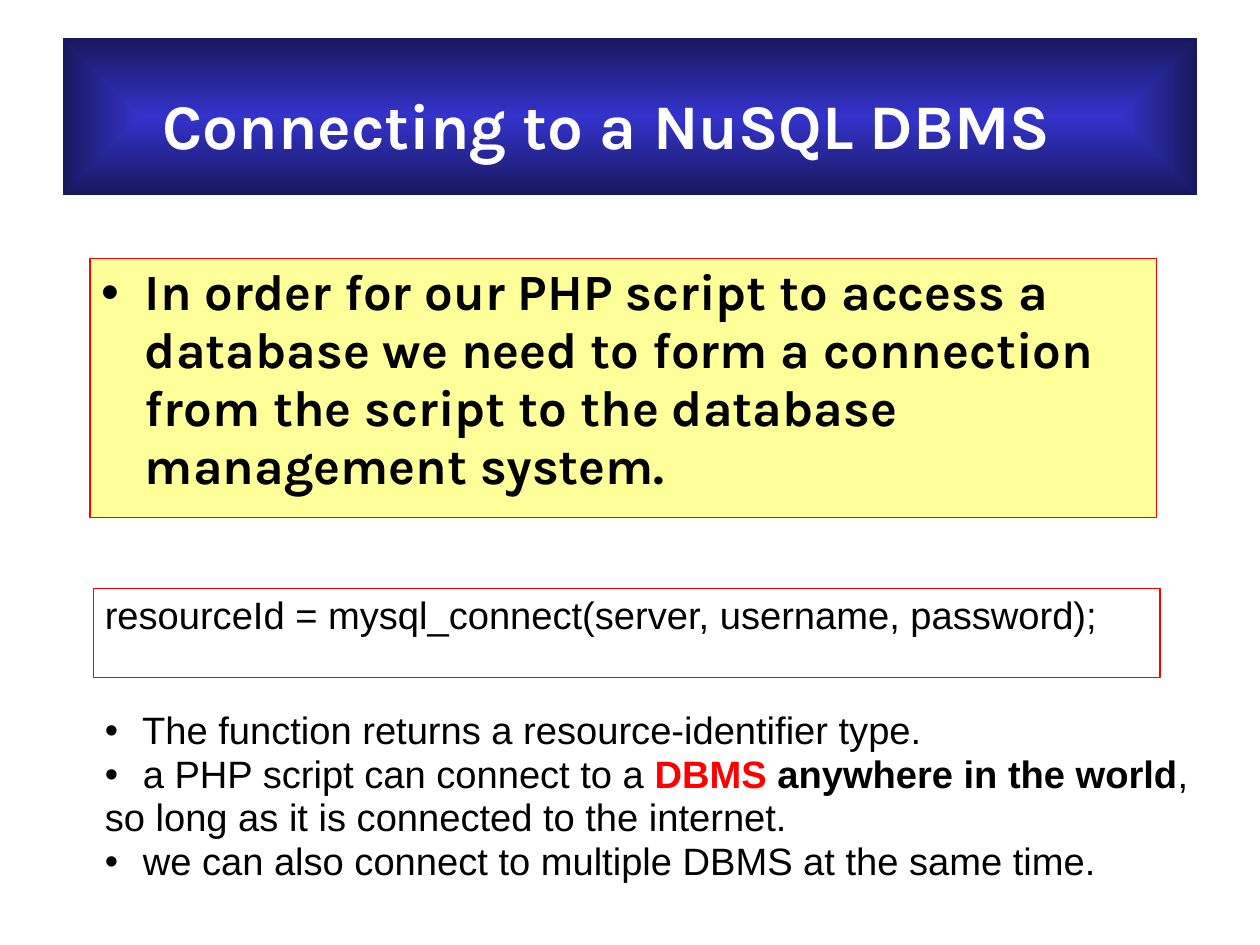
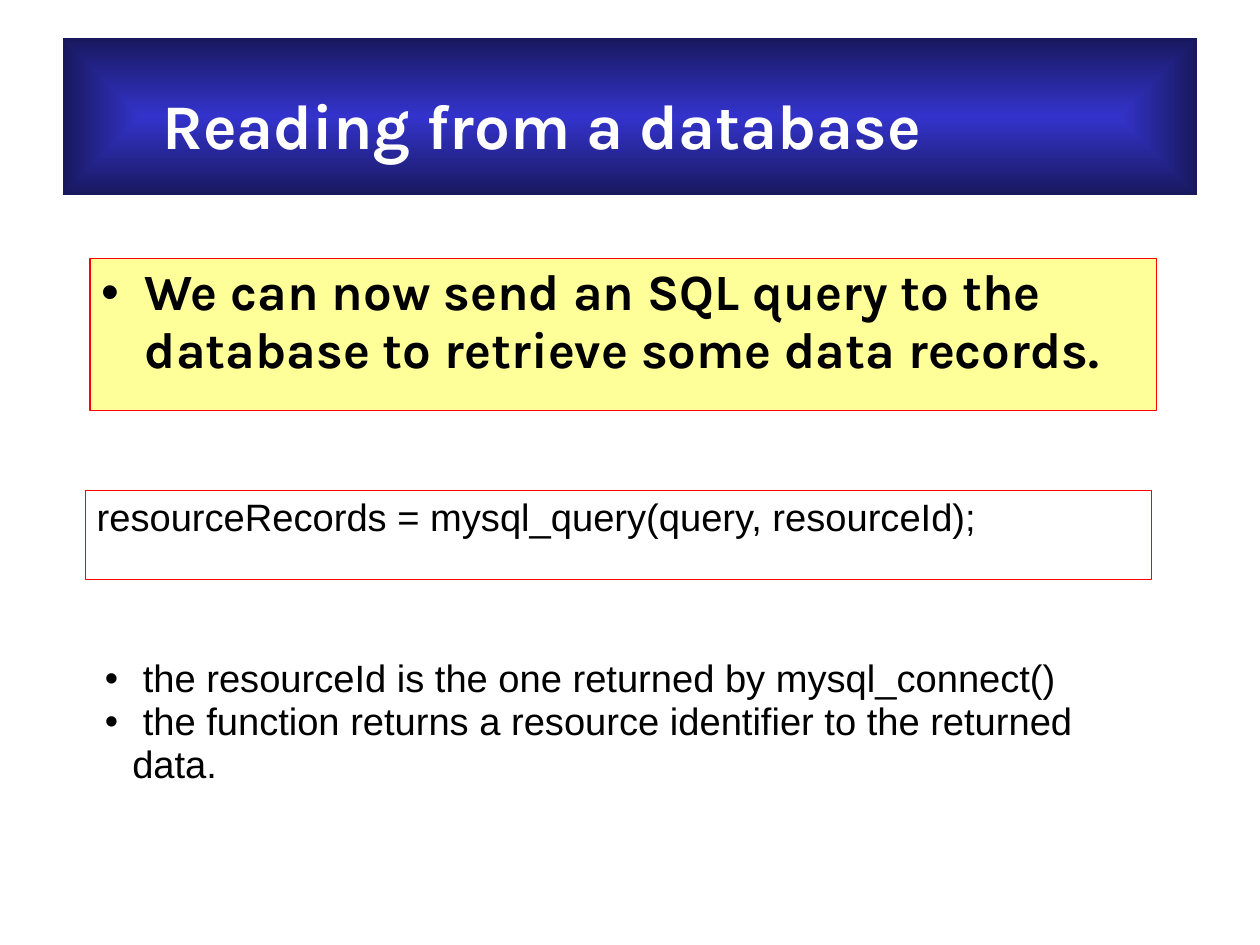
"""Build two slides on connecting to a database and reading from it with PHP."""
from lxml import etree
from pptx import Presentation
from pptx.dml.color import RGBColor
from pptx.enum.shapes import MSO_SHAPE
from pptx.enum.text import MSO_ANCHOR, PP_ALIGN
from pptx.oxml.ns import qn
from pptx.util import Cm, Pt

RECTANGLE = MSO_SHAPE.RECTANGLE
TOP = MSO_ANCHOR.TOP
LEFT = PP_ALIGN.LEFT

COLORS = {
    "band_centre": "3333CC",
    "band_edge": "18185E",
    "title": "FFFFFF",
    "statement": "FFFF99",
    "code": "FFFFFF",
    "border": "FF0000",
    "accent": "FF0000",
    "text": "000000",
}
HEADING_FONT, BODY_FONT = "Karla", "Arial"
BAND = (1.4, 0.84, 25.2, 3.5)
BAND_INSETS = (2.21, 1.19, 0, 0)
BOX_INSETS = (0.25, 0.13, 0.25, 0.13)
STATEMENT_HANG, NOTE_HANG = 0.97, 0.61

SLIDES = [
    {
        "title": "Connecting to a NuSQL DBMS",
        "statement": "In order for our PHP script to access a database we need to form "
                     "a connection from the script to the database management system.",
        "statement_box": (2, 5.74, 23.7, 5.77),
        "code": "resourceId = mysql_connect(server, username, password);",
        "code_box": (2.08, 13.08, 23.7, 1.98),
        "notes": [
            (NOTE_HANG, [(" The function returns a resource-identifier type.", None)]),
            (NOTE_HANG, [(" a PHP script can connect to a ", None), ("DBMS ", "accent"),
                         ("anywhere in the world", "text"), (", ", None)]),
            (0, [("so long as it is connected to the internet.", None)]),
            (NOTE_HANG, [(" we can also connect to multiple DBMS at the same time.", None)]),
        ],
        "notes_box": (2.08, 15.65, 25.2, 5.08),
    },
    {
        "title": "Reading from a database",
        "statement": "We can now send an SQL query to the database to retrieve some data records.",
        "statement_box": (2, 5.74, 23.7, 3.38),
        "code": "resourceRecords = mysql_query(query, resourceId);",
        "code_box": (1.9, 10.9, 23.7, 1.98),
        "notes": [
            (NOTE_HANG, [(" the resourceId is the one returned by mysql_connect()", None)]),
            (NOTE_HANG, [(" the function returns a resource identifier to the returned data.", None)]),
        ],
        "notes_box": (2.08, 14.48, 24.03, 3.15),
    },
]


def rgb(name):
    return RGBColor.from_string(COLORS[name])


def add_panel(slide, box, fill=None):
    panel = slide.shapes.add_shape(RECTANGLE, *map(Cm, box))
    panel.shadow.inherit = False
    if fill:
        panel.fill.solid()
        panel.fill.fore_color.rgb = rgb(fill)
        panel.line.color.rgb = rgb("border")
        panel.line.width = Pt(0.74)
    else:
        panel.line.fill.background()
    return panel


def shade_from_centre(panel):
    panel.fill.gradient()
    for stop, name in zip(panel.fill.gradient_stops, ("band_centre", "band_edge")):
        stop.color.rgb = rgb(name)
    gradient = panel._element.spPr.find(qn("a:gradFill"))
    gradient.remove(gradient.find(qn("a:lin")))
    focus = etree.SubElement(gradient, qn("a:path"), path="rect")
    etree.SubElement(focus, qn("a:fillToRect"), l="50000", t="50000", r="50000", b="50000")


def add_bullet(paragraph, hang):
    properties = paragraph._p.get_or_add_pPr()
    properties.set("marL", str(Cm(hang)))
    properties.set("indent", str(-Cm(hang)))
    color = etree.SubElement(properties, qn("a:buClr"))
    etree.SubElement(color, qn("a:srgbClr"), val=COLORS["text"])
    etree.SubElement(properties, qn("a:buFont"), typeface=BODY_FONT)
    etree.SubElement(properties, qn("a:buChar"), char="•")


def write(shape, lines, font, size, color="text", bold=False, insets=BOX_INSETS):
    frame = shape.text_frame
    frame.word_wrap = True
    frame.vertical_anchor = TOP
    (frame.margin_left, frame.margin_top,
     frame.margin_right, frame.margin_bottom) = map(Cm, insets)
    for index, (hang, parts) in enumerate(lines):
        paragraph = frame.add_paragraph() if index else frame.paragraphs[0]
        paragraph.alignment = LEFT
        paragraph.line_spacing = 0.95
        if hang:
            add_bullet(paragraph, hang)
        paragraph.font.name = font
        paragraph.font.size = Pt(size)
        paragraph.font.bold = bold
        paragraph.font.color.rgb = rgb(color)
        for words, emphasis in parts:
            run = paragraph.add_run()
            run.text = words
            if emphasis:
                run.font.bold = True
                run.font.color.rgb = rgb(emphasis)


def build_slide(deck, content):
    slide = deck.slides.add_slide(deck.slide_layouts[6])
    band = add_panel(slide, BAND)
    shade_from_centre(band)
    write(band, [(0, [(content["title"], None)])], HEADING_FONT, 40, "title", True, BAND_INSETS)

    statement = add_panel(slide, content["statement_box"], "statement")
    write(statement, [(STATEMENT_HANG, [(content["statement"], None)])], HEADING_FONT, 32, bold=True)

    code = add_panel(slide, content["code_box"], "code")
    write(code, [(0, [(content["code"], None)])], BODY_FONT, 24)

    notes = slide.shapes.add_textbox(*map(Cm, content["notes_box"]))
    write(notes, content["notes"], BODY_FONT, 24)


deck = Presentation()
deck.slide_width, deck.slide_height = Cm(28), Cm(21)
for content in SLIDES:
    build_slide(deck, content)
deck.save("out.pptx")
